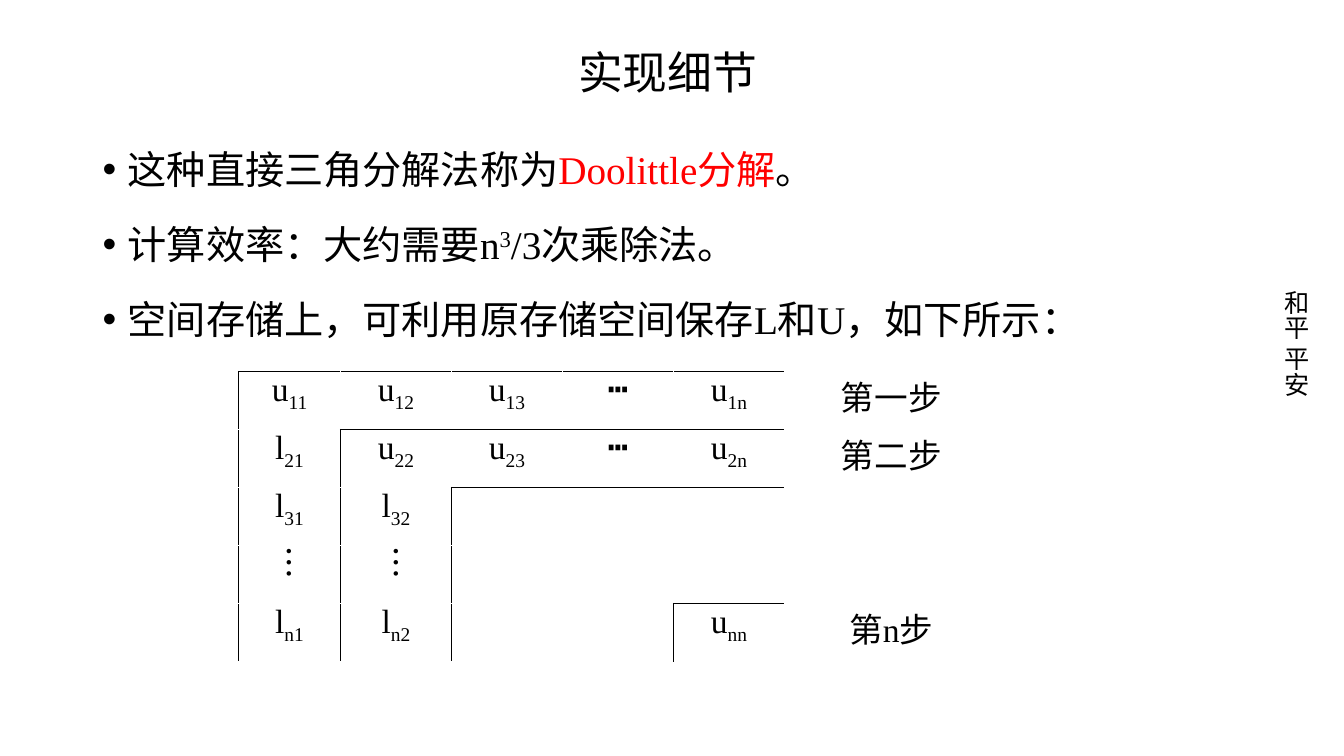
from lxml.etree import SubElement
from pptx import Presentation
from pptx.dml.color import RGBColor
from pptx.enum.text import MSO_ANCHOR, MSO_AUTO_SIZE, PP_ALIGN
from pptx.oxml.ns import qn
from pptx.util import Pt

COLORS = {"text": "000000", "accent": "FF0000", "hidden": "FFFFFF"}
LATIN_FONT = "Times New Roman"
CHINESE_FONT = "Noto Sans CJK SC"

BULLETS = [
    [("这种直接三角分解法称为", "text", 0), ("Doolittle分解", "accent", 0), ("。", "text", 0)],
    [("计算效率：大约需要n", "text", 0), ("3", "text", 30), ("/3次乘除法。", "text", 0)],
    [("空间存储上，可利用原存储空间保存L和U，如下所示：", "text", 0)],
]

MATRIX = [
    ["u_11", "u_12", "u_13", "┅", "u_1n", "", "第一步"],
    ["l_21", "u_22", "u_23", "┅", "u_2n", "", "第二步"],
    ["l_31", "l_32", "", "", "", "", ""],
    ["︙", "︙", "", "", "", "", ""],
    ["l_n1", "l_n2", "", "", "u_nn", "", "第n步"],
]
COLUMN_WIDTHS = [72.7] + [79.3] * 4 + [26.6, 99.4]
ROW_HEIGHT = 41.45
CORNERS = {0, 1, 2, 4}
MATRIX_SIZE = 5


def add_run(paragraph, text, size, color="text", baseline=0):
    run = paragraph.add_run()
    run.text = text
    run.font.size = Pt(size)
    run.font.color.rgb = RGBColor.from_string(COLORS[color])
    run.font.name = LATIN_FONT
    properties = run._r.get_or_add_rPr()
    SubElement(properties, qn("a:ea"), typeface=CHINESE_FONT)
    if baseline:
        properties.set("baseline", str(baseline * 1000))


def add_text_box(slide, left, top, width, height):
    shape = slide.shapes.add_textbox(Pt(left), Pt(top), Pt(width), Pt(height))
    shape.text_frame.word_wrap = True
    return shape.text_frame


def add_title(slide, text):
    frame = add_text_box(slide, 63, 28.5, 828, 50.4)
    frame.vertical_anchor = MSO_ANCHOR.MIDDLE
    paragraph = frame.paragraphs[0]
    paragraph.alignment = PP_ALIGN.CENTER
    paragraph.line_spacing = 0.9
    add_run(paragraph, text, 32)


def add_side_text(slide, text):
    frame = add_text_box(slide, 904.2, 200.2, 36, 92.2)
    frame.auto_size = MSO_AUTO_SIZE.SHAPE_TO_FIT_TEXT
    frame._txBody.bodyPr.set("vert", "eaVert")
    add_run(frame.paragraphs[0], text, 18)


def add_bullets(slide, items):
    frame = add_text_box(slide, 66.2, 90, 828, 396)
    for index, runs in enumerate(items):
        paragraph = frame.add_paragraph() if index else frame.paragraphs[0]
        properties = paragraph._p.get_or_add_pPr()
        properties.set("marL", str(Pt(18)))
        properties.set("indent", str(Pt(-18)))
        SubElement(properties, qn("a:buFont"), typeface="Arial")
        SubElement(properties, qn("a:buChar"), char="•")
        paragraph.line_spacing = 1.3
        paragraph.space_before = Pt(10 if index else 0)
        for text, color, baseline in runs:
            add_run(paragraph, text, 28, color, baseline)


def has_top_line(row, column):
    return row in CORNERS and row <= column < MATRIX_SIZE


def has_left_line(row, column):
    return column in CORNERS and column <= row


def set_borders(cell, row, column):
    visible = {
        "a:lnL": has_left_line(row, column),
        "a:lnR": has_left_line(row, column + 1),
        "a:lnT": has_top_line(row, column),
        "a:lnB": has_top_line(row + 1, column),
    }
    properties = cell._tc.get_or_add_tcPr()
    for position, (tag, shown) in enumerate(visible.items()):
        line = SubElement(properties, qn(tag), w=str(Pt(1)))
        fill = SubElement(line, qn("a:solidFill"))
        SubElement(fill, qn("a:srgbClr"), val=COLORS["text" if shown else "hidden"])
        properties.insert(position, line)


def fill_cell(cell, text):
    cell.margin_left = cell.margin_right = Pt(5.2)
    cell.margin_top = cell.margin_bottom = Pt(0)
    cell.fill.background()
    if text:
        paragraph = cell.text_frame.paragraphs[0]
        paragraph.alignment = PP_ALIGN.CENTER
        symbol, _, subscript = text.partition("_")
        add_run(paragraph, symbol, 24)
        if subscript:
            add_run(paragraph, subscript, 24, baseline=-25)


def add_matrix(slide):
    table = slide.shapes.add_table(
        len(MATRIX), len(COLUMN_WIDTHS), Pt(170.5), Pt(265.3),
        Pt(sum(COLUMN_WIDTHS)), Pt(ROW_HEIGHT * len(MATRIX)),
    ).table
    table.first_row = table.horz_banding = False
    for column, width in enumerate(COLUMN_WIDTHS):
        table.columns[column].width = Pt(width)
    for row, texts in enumerate(MATRIX):
        table.rows[row].height = Pt(ROW_HEIGHT)
        for column, text in enumerate(texts):
            cell = table.cell(row, column)
            fill_cell(cell, text)
            set_borders(cell, row, column)


def main():
    presentation = Presentation()
    presentation.slide_width = Pt(960)
    presentation.slide_height = Pt(540)
    slide = presentation.slides.add_slide(presentation.slide_layouts[6])
    add_side_text(slide, "和平 平安")
    add_title(slide, "实现细节")
    add_bullets(slide, BULLETS)
    add_matrix(slide)
    presentation.save("out.pptx")


if __name__ == "__main__":
    main()
